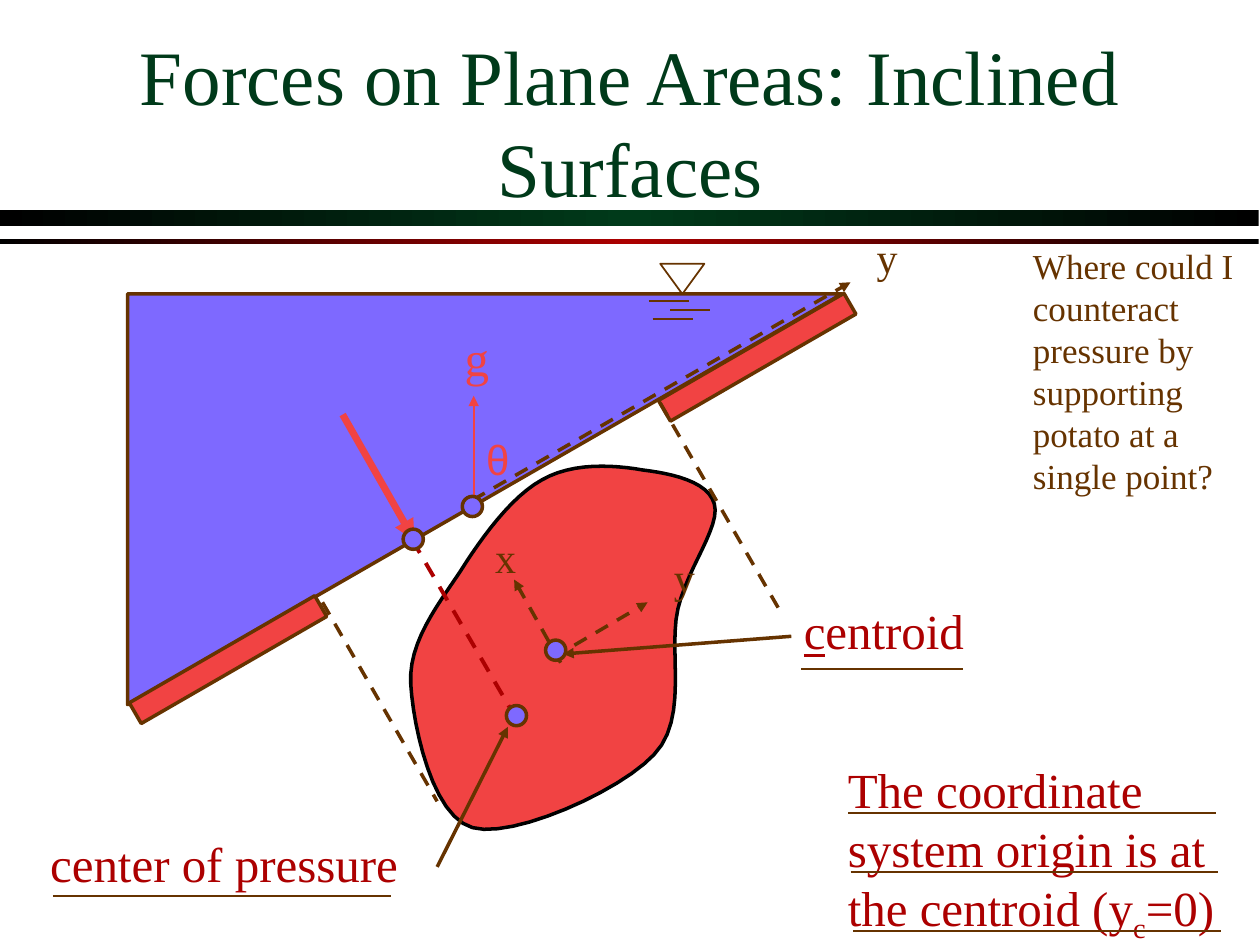
"""Build a slide on hydrostatic forces acting on inclined plane surfaces."""
import dataclasses

import lxml.etree
import pptx
import pptx.dml.color
import pptx.enum.dml
import pptx.enum.shapes
import pptx.enum.text
import pptx.oxml
import pptx.oxml.ns
import pptx.util

Pt = pptx.util.Pt
Shape = pptx.enum.shapes.MSO_SHAPE
qn = pptx.oxml.ns.qn


@dataclasses.dataclass(frozen=True)
class Theme:
    serif: str = "Times New Roman"
    sans: str = "Arial"
    green: str = "003A1A"
    red: str = "AC0000"
    coral: str = "F14343"
    water: str = "7E69FF"
    brown: str = "663300"
    black: str = "000000"
    title: float = 44
    label: float = 28
    axis: float = 24
    question: float = 20
    thin: float = 1
    outline: float = 2


THEME = Theme()


def rgb(color):
    return pptx.dml.color.RGBColor.from_string(color)


def paint(shape, fill, line, weight):
    shape.shadow.inherit = False
    if fill:
        shape.fill.solid()
        shape.fill.fore_color.rgb = rgb(fill)
    else:
        shape.fill.background()
    shape.line.color.rgb = rgb(line)
    shape.line.width = Pt(weight)


def add_part(slide, kind, box, fill=None, line=THEME.brown, weight=THEME.outline, angle=0):
    part = slide.shapes.add_shape(kind, *map(Pt, box))
    paint(part, fill, line, weight)
    part.rotation = angle
    return part


def add_band(slide, top, height, glow):
    band = slide.shapes.add_shape(Shape.RECTANGLE, 0, Pt(top), Pt(719.3), Pt(height))
    band.shadow.inherit = False
    band.line.fill.background()
    band.fill.gradient()
    band.fill.gradient_angle = 0
    stops = band.fill._fill._gradFill.find(qn("a:gsLst"))
    for stop in list(stops):
        stops.remove(stop)
    for position, color in ((0, THEME.black), (50000, glow), (100000, THEME.black)):
        stop = lxml.etree.SubElement(stops, qn("a:gs"), pos=str(position))
        lxml.etree.SubElement(stop, qn("a:srgbClr"), val=color)


def add_line(slide, start, end, color=THEME.brown, weight=THEME.outline, dashed=False, arrow=False):
    line = slide.shapes.add_connector(
        pptx.enum.shapes.MSO_CONNECTOR.STRAIGHT, *map(Pt, (*start, *end)))
    line.line.color.rgb = rgb(color)
    line.line.width = Pt(weight)
    if dashed:
        line.line.dash_style = pptx.enum.dml.MSO_LINE.DASH
    if arrow:
        lxml.etree.SubElement(line.line._get_or_add_ln(), qn("a:tailEnd"), type="triangle")
    lxml.etree.SubElement(line._element.spPr, qn("a:effectLst"))


def add_text(slide, box, runs, size, color, font=THEME.serif, wrap=True):
    text_box = slide.shapes.add_textbox(*map(Pt, box))
    frame = text_box.text_frame
    frame.word_wrap = wrap
    frame.auto_size = pptx.enum.text.MSO_AUTO_SIZE.SHAPE_TO_FIT_TEXT
    for words in runs:
        run = frame.paragraphs[0].add_run()
        run.text = words
        run.font.size = Pt(size)
        run.font.name = font
        run.font.color.rgb = rgb(color)
    return frame


def add_title(slide):
    frame = add_text(slide, (54, 23.8, 612, 90), ["Forces on Plane Areas: Inclined Surfaces"],
                     THEME.title, THEME.green)
    frame.auto_size = pptx.enum.text.MSO_AUTO_SIZE.NONE
    frame.vertical_anchor = pptx.enum.text.MSO_ANCHOR.MIDDLE
    heading = frame.paragraphs[0]
    heading.alignment = pptx.enum.text.PP_ALIGN.CENTER
    effects = lxml.etree.Element(qn("a:effectLst"))
    shadow = lxml.etree.SubElement(effects, qn("a:outerShdw"), dist="17961", dir="2700000")
    lxml.etree.SubElement(shadow, qn("a:srgbClr"), val=THEME.black)
    heading.runs[0].font._element.find(qn("a:solidFill")).addnext(effects)


def bezier(points, t):
    weights = ((1 - t) ** 3, 3 * t * (1 - t) ** 2, 3 * t * t * (1 - t), t ** 3)
    return tuple(Pt(sum(w * p[axis] for w, p in zip(weights, points))) for axis in (0, 1))


def add_potato(slide):
    start = (262.8, 326.9)
    curves = [
        ((249.8, 346.3), (233.3, 367.2), (234.7, 391)),
        ((236.2, 415.4), (247, 466.6), (270, 473)),
        ((293, 479.5), (354.2, 452.2), (373.7, 431.3)),
        ((393.8, 410.4), (381.6, 372.2), (387.4, 347.8)),
        ((393.1, 324), (411.8, 301), (408.2, 288)),
        ((404.6, 275), (383.8, 270.7), (367.2, 268.6)),
        ((350.6, 265.7), (326.9, 264.2), (309.6, 274.3)),
        ((292.3, 283.7), (275, 307.4), start),
    ]
    steps = 12
    outline = slide.shapes.build_freeform(*map(Pt, start))
    origin = start
    for curve in curves:
        outline.add_line_segments(
            [bezier((origin, *curve), step / steps) for step in range(1, steps + 1)], close=False)
        origin = curve[-1]
    outline.add_line_segments([], close=True)
    paint(outline.convert_to_shape(), THEME.coral, THEME.black, THEME.outline)


def add_water_and_wall(slide):
    water = add_part(slide, Shape.RIGHT_TRIANGLE, (72.9, 168, 408.2, 234.7), THEME.water, angle=180)
    water._element.spPr.get_or_add_xfrm().set("flipH", "1")
    for left, top in ((69.1, 370.1), (371.5, 197.3)):
        add_part(slide, Shape.RECTANGLE, (left, top, 122.4, 13.7), THEME.coral, angle=330)
    add_part(slide, Shape.ISOSCELES_TRIANGLE, (377.3, 150.7, 25.2, 17.3),
             weight=THEME.thin, angle=180)
    for left, top in ((370.8, 172.1), (383, 177.1), (373, 182.2)):
        add_line(slide, (left, top), (left + 23, top), weight=THEME.thin)


def add_forces_and_axes(slide):
    for start, end in (((377.3, 230.4), (445, 347.8)), ((184.3, 344.2), (249.8, 457.9))):
        add_line(slide, start, end, dashed=True)
    for start, end in (((320.4, 378.7), (293.8, 331.2)), ((316.1, 375.8), (370.1, 344.2)),
                       ((270, 285.8), (486, 161.3))):
        add_line(slide, start, end, dashed=True, arrow=True)
    for start, end in (((452.2, 363.6), (321.8, 373.7)), ((249.8, 495.4), (290.2, 415.4))):
        add_line(slide, start, end, arrow=True)
    add_line(slide, (235.4, 308.2), (295.2, 411.1), THEME.red, 2.25, dashed=True)
    add_line(slide, (195.8, 236.9), (236.9, 308.9), THEME.coral, 4, arrow=True)
    add_line(slide, (270.7, 291.6), (270.7, 226.1), THEME.coral, THEME.thin, arrow=True)
    for left, top in ((311.8, 365.8), (289.4, 403.2), (264.2, 283.7), (230.4, 302.4)):
        add_part(slide, Shape.OVAL, (left, top, 11.5, 11.5), THEME.water)


def add_labels(slide):
    for letter, left, top in (("x", 275.8, 300.2), ("y", 378, 311.8), ("y", 493.9, 128.9)):
        add_text(slide, (left, top, 26.6, 36), [letter], THEME.axis, THEME.brown, wrap=False)
    add_text(slide, (270.7, 244.1, 27.4, 36), ["θ"], THEME.axis, THEME.coral, THEME.sans, wrap=False)
    add_text(slide, (258.5, 183.6, 28.8, 41), ["g"], THEME.label, THEME.coral, wrap=False)
    centroid = add_text(slide, (452.2, 339.8, 113.8, 41), ["c", "entroid"], THEME.label, THEME.red)
    centroid.paragraphs[0].runs[0].font.underline = True
    add_text(slide, (21.6, 473, 227.5, 41), ["center of pressure"], THEME.label, THEME.red)
    origin = add_text(slide, (477.4, 430.6, 242.6, 108),
                      ["The coordinate system origin is at the centroid (y", "c", "=0)"],
                      THEME.label, THEME.red)
    origin.paragraphs[0].runs[1].font._element.set("baseline", "-25000")
    add_text(slide, (583.2, 136.1, 136.8, 151.2),
             ["Where could I counteract pressure by supporting potato at a single point?"],
             THEME.question, THEME.brown)
    rules = [(457.9, 382.3, 92.2), (30.2, 511.9, 193)]
    rules += [(484.6 + 1.44 * row, 464.4 + 33.84 * row, 210.2) for row in range(3)]
    for left, top, width in rules:
        add_line(slide, (left, top), (left + width, top), weight=THEME.thin)


def main():
    deck = pptx.Presentation()
    deck.slide_width, deck.slide_height = Pt(720), Pt(540)
    slide = deck.slides.add_slide(deck.slide_layouts[6])
    add_band(slide, 120, 9, THEME.green)
    add_band(slide, 136.8, 2.9, THEME.red)
    add_title(slide)
    add_water_and_wall(slide)
    add_potato(slide)
    add_forces_and_axes(slide)
    add_labels(slide)
    deck.save("out.pptx")


if __name__ == "__main__":
    main()
